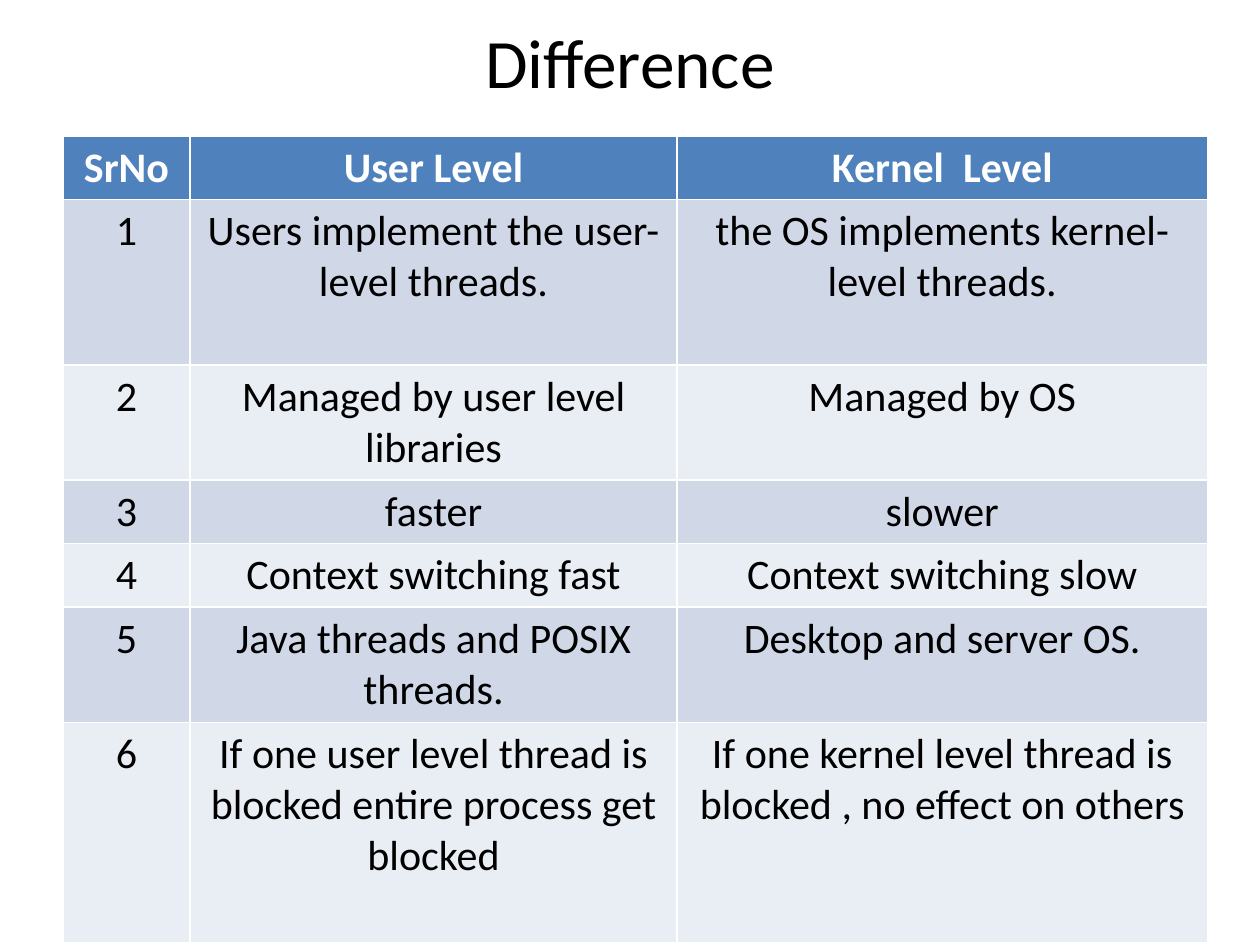
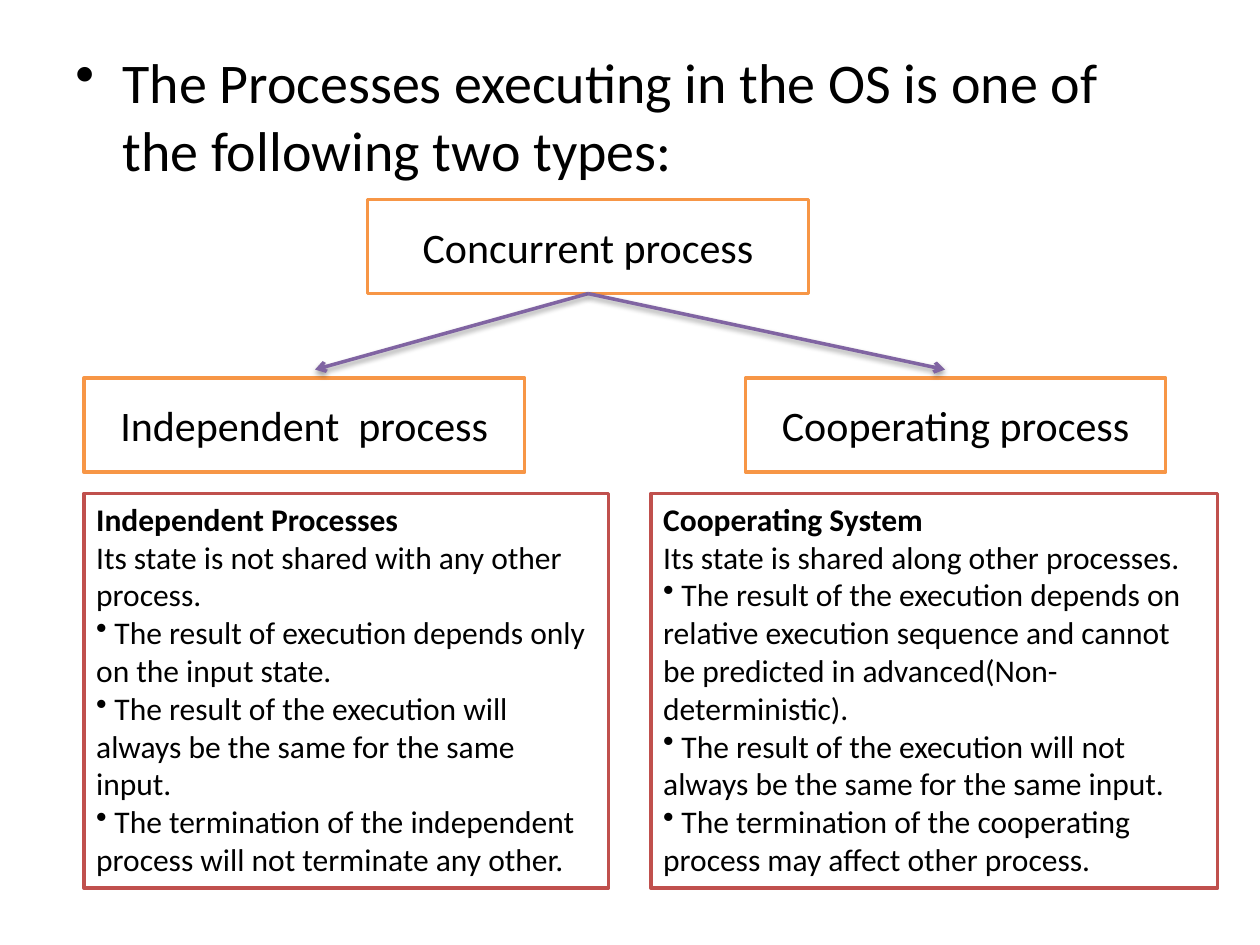
from pptx import Presentation
from pptx.dml.color import RGBColor
from pptx.enum.shapes import MSO_CONNECTOR, MSO_SHAPE
from pptx.enum.text import MSO_ANCHOR, PP_ALIGN
from pptx.oxml import parse_xml
from pptx.oxml.ns import nsdecls
from pptx.util import Cm, Pt

BLACK = RGBColor(0x00, 0x00, 0x00)
WHITE = RGBColor(0xFF, 0xFF, 0xFF)
BLUE = RGBColor(0x4F, 0x81, 0xBD)
BANDS = RGBColor(0xD0, 0xD8, 0xE8), RGBColor(0xE9, 0xED, 0xF4)
ORANGE = RGBColor(0xF7, 0x96, 0x46)
PURPLE = RGBColor(0x80, 0x64, 0xA2)
RED = RGBColor(0xC0, 0x50, 0x4D)

SHADOW = (
    f'<a:effectLst {nsdecls("a")}><a:outerShdw blurRad="40000" dist="20000" '
    'dir="5400000" rotWithShape="0"><a:srgbClr val="000000">'
    '<a:alpha val="38000"/></a:srgbClr></a:outerShdw></a:effectLst>'
)
ARROW = f'<a:tailEnd {nsdecls("a")} type="arrow"/>'
BULLET = f'<a:buChar {nsdecls("a")} char="•"/>'


class Deck:
    """Shared style plus the slide being filled."""

    font = "Calibri"

    def __init__(self):
        self.file = Presentation()
        self.file.slide_width, self.file.slide_height = Cm(25.4), Cm(19.05)
        self.slide = None

    def page(self):
        """Start a blank slide."""
        self.slide = self.file.slides.add_slide(self.file.slide_layouts[6])

    def style(self, para, size, color=BLACK, bold=False, align=PP_ALIGN.LEFT):
        """Format one paragraph and its runs."""
        para.alignment = align
        for run in para.runs:
            font = run.font
            font.name, font.size, font.bold = self.font, Pt(size), bold
            font.color.rgb = color

    def bullet(self, para, indent=0):
        """Give a paragraph a bullet with a hanging indent."""
        props = para._p.get_or_add_pPr()
        props.set("marL", str(Cm(indent)))
        props.set("indent", str(-Cm(indent)))
        props.append(parse_xml(BULLET))

    def text(self, spot, words, size, align=PP_ALIGN.LEFT, anchor=MSO_ANCHOR.TOP):
        """Add a wrapped text box and return its paragraph."""
        frame = self.slide.shapes.add_textbox(*map(Cm, spot)).text_frame
        frame.word_wrap, frame.vertical_anchor = True, anchor
        frame.text = words
        para = frame.paragraphs[0]
        self.style(para, size, align=align)
        return para

    def table(self, spot, cols, rows, data):
        """Add a banded table with a blue header."""
        size = sum(cols), sum(rows)
        grid = self.slide.shapes.add_table(
            len(rows), len(cols), *map(Cm, (*spot, *size))).table
        for col, width in zip(grid.columns, cols):
            col.width = Cm(width)
        for i, (row, height, line) in enumerate(zip(grid.rows, rows, data)):
            row.height = Cm(height)
            head = i == 0
            for cell, words in zip(row.cells, line):
                cell.fill.solid()
                cell.fill.fore_color.rgb = BLUE if head else BANDS[(i - 1) % 2]
                cell.text_frame.text = words
                self.style(cell.text_frame.paragraphs[0], 24,
                           WHITE if head else BLACK, head, PP_ALIGN.CENTER)

    def frame(self, spot, color, anchor):
        """Add a white outlined rectangle."""
        shape = self.slide.shapes.add_shape(MSO_SHAPE.RECTANGLE, *map(Cm, spot))
        shape.shadow.inherit = False
        shape.fill.solid()
        shape.fill.fore_color.rgb = WHITE
        shape.line.color.rgb, shape.line.width = color, Pt(2)
        shape.text_frame.word_wrap = True
        shape.text_frame.vertical_anchor = anchor
        return shape

    def node(self, spot, words):
        """Add a labelled box of the tree."""
        shape = self.frame((*spot, 1.9), ORANGE, MSO_ANCHOR.MIDDLE)
        shape.text_frame.text = words
        self.style(shape.text_frame.paragraphs[0], 24, align=PP_ALIGN.CENTER)
        return shape

    def panel(self, left, width, head, lead, points):
        """Add a panel with a bold heading, a lead line and bullets."""
        frame = self.frame((left, 9.95, width, 7.95), RED, MSO_ANCHOR.TOP).text_frame
        lines = [head, lead] + [" " + point for point in points]
        frame.text = "\n".join(lines)
        for i, para in enumerate(frame.paragraphs):
            if i > 1:
                self.bullet(para)
            self.style(para, 18, bold=i == 0)

    def arrow(self, root, left, top):
        """Draw a shadowed arrow from the bottom of a box."""
        line = self.slide.shapes.add_connector(
            MSO_CONNECTOR.STRAIGHT, 0, 0, Cm(left), Cm(top))
        line.begin_connect(root, 2)
        line.line.color.rgb, line.line.width = PURPLE, Pt(2)
        line.line._get_or_add_ln().append(parse_xml(ARROW))
        line._element.spPr.append(parse_xml(SHADOW))


def main():
    """Build both slides."""
    deck = Deck()

    deck.page()
    deck.text((1.27, 0.76, 22.86, 0.94), "Difference", 39.6,
              PP_ALIGN.CENTER, MSO_ANCHOR.MIDDLE)
    deck.table(
        (1.27, 2.74), (2.56, 9.82, 10.69),
        (1.28, 3.34, 2.32, 1.28, 1.28, 2.32, 4.45),
        [
            ("SrNo", "User Level", "Kernel  Level"),
            ("1", "Users implement the user-level threads.",
             "the OS implements kernel-level threads."),
            ("2", "Managed by user level libraries", "Managed by OS"),
            ("3", "faster", "slower"),
            ("4", "Context switching fast", "Context switching slow"),
            ("5", "Java threads and POSIX threads.", "Desktop and server OS."),
            ("6", "If one user level thread is blocked entire process get blocked",
             "If one kernel level thread is blocked , no effect on others"),
        ])

    deck.page()
    intro = deck.text(
        (1.27, 0.84, 22.86, 16.18),
        "The Processes executing in the OS is one of the following two types:", 32)
    deck.bullet(intro, 0.95)
    root = deck.node((7.41, 4.02, 8.89), "Concurrent process")
    deck.node((1.69, 7.62, 8.89), "Independent  process")
    deck.node((15.03, 7.62, 8.47), "Cooperating process")
    for left in (6.35, 19.05):
        deck.arrow(root, left, 7.45)
    deck.panel(
        1.69, 10.58, "Independent Processes",
        "Its state is not shared with any other process.",
        ["The result of execution depends only on the input state.",
         "The result of the execution will always be the same for the same input.",
         "The termination of the independent process will not terminate any other."])
    deck.panel(
        13.12, 11.43, "Cooperating System",
        "Its state is shared along other processes.",
        ["The result of the execution depends on relative execution sequence "
         "and cannot be predicted in advanced(Non-deterministic).",
         "The result of the execution will not always be the same for the same input.",
         "The termination of the cooperating process may affect other process."])

    deck.file.save("out.pptx")


if __name__ == "__main__":
    main()
